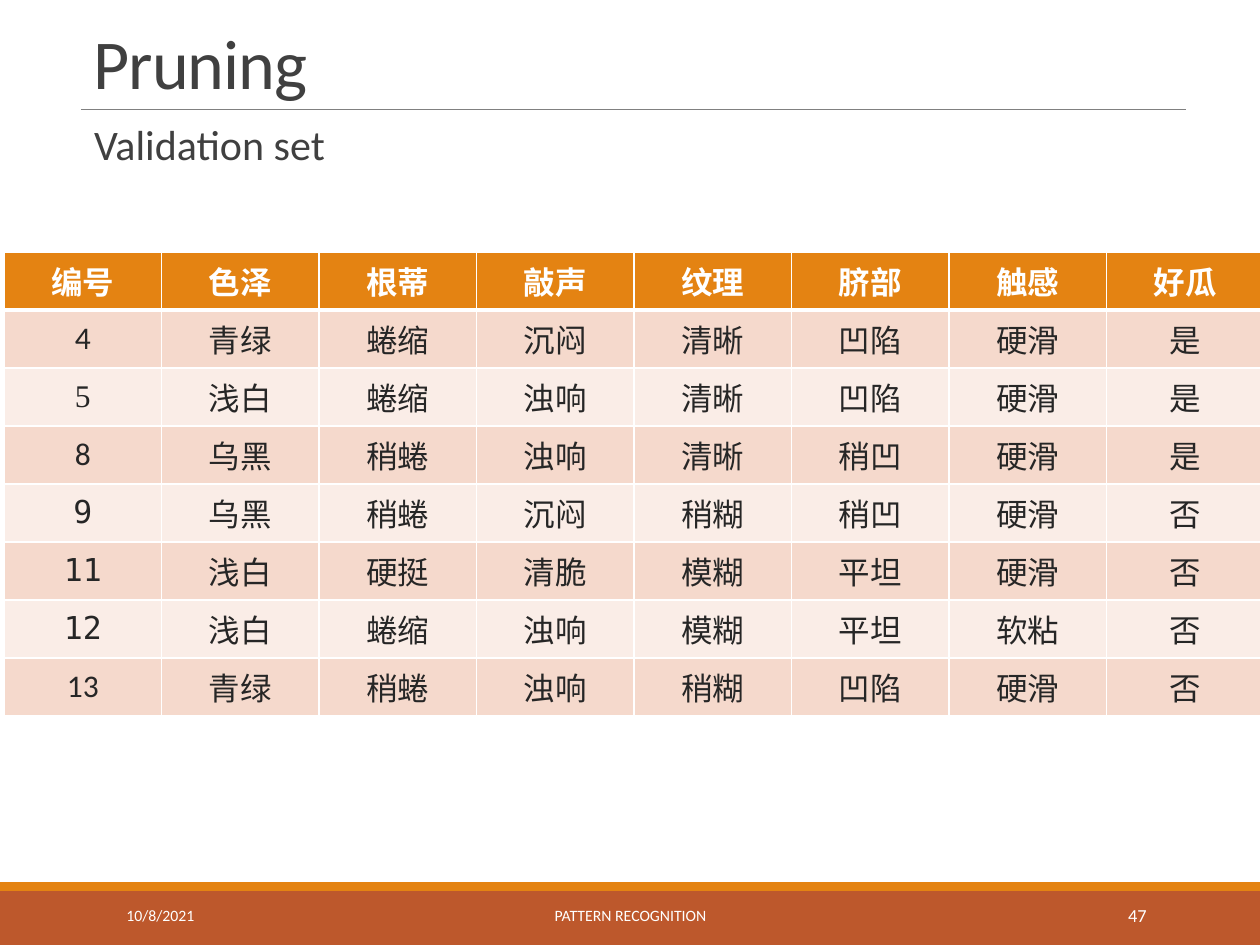
from lxml.etree import SubElement
from pptx import Presentation
from pptx.dml.color import RGBColor
from pptx.enum.shapes import MSO_CONNECTOR, MSO_SHAPE
from pptx.enum.text import MSO_ANCHOR, PP_ALIGN
from pptx.oxml.ns import qn
from pptx.util import Emu, Pt

WHITE = RGBColor(0xFF, 0xFF, 0xFF)
ORANGE = RGBColor(0xE4, 0x83, 0x12)
RUST = RGBColor(0xBD, 0x58, 0x2C)
GRAY = RGBColor(0x80, 0x80, 0x80)
HEADING = RGBColor(0x40, 0x40, 0x40)
CELL_TEXT = RGBColor(0x26, 0x26, 0x26)
BANDS = (RGBColor(0xF5, 0xD9, 0xCC), RGBColor(0xFA, 0xED, 0xE7))

FONTS = {"C": "Calibri", "T": "Times New Roman", "D": "DejaVu Sans Mono"}

# Each row: its cells, then one font letter per cell
ROWS = [
    ("编号 色泽 根蒂 敲声 纹理 脐部 触感 好瓜", "CCCCCCCC"),
    ("4 青绿 蜷缩 沉闷 清晰 凹陷 硬滑 是", "CCCTCCCC"),
    ("5 浅白 蜷缩 浊响 清晰 凹陷 硬滑 是", "TCCCCCCT"),
    ("8 乌黑 稍蜷 浊响 清晰 稍凹 硬滑 是", "CCCCCDCC"),
    ("9 乌黑 稍蜷 沉闷 稍糊 稍凹 硬滑 否", "DCCTCDCD"),
    ("11 浅白 硬挺 清脆 模糊 平坦 硬滑 否", "DCDTCDCD"),
    ("12 浅白 蜷缩 浊响 模糊 平坦 软粘 否", "DCDCCDCD"),
    ("13 青绿 稍蜷 浊响 稍糊 凹陷 硬滑 否", "CCCCCCCC"),
]
TABLE_LEFT, TABLE_TOP, TABLE_WIDTH, ROW_HEIGHT = 4, 252, 1260, 58

# Bars: top, height, colour
BARS = [(890, 55, RUST), (882, 9, ORANGE)]

# Footer: text, left, width, size, alignment
FOOTER_TOP, FOOTER_HEIGHT = 890, 50
FOOTERS = [
    ("10/8/2021", 114, 256, 9, PP_ALIGN.LEFT),
    ("PATTERN RECOGNITION", 381, 499, 9, PP_ALIGN.CENTER),
    ("47", 1023, 136, 10.5, PP_ALIGN.RIGHT),
]


def px(value):
    return Emu(round(value * 914400 / 126))


def add_run(paragraph, text, size, color, font="Calibri", bold=False):
    run = paragraph.add_run()
    run.text = text
    run.font.name = font
    run.font.size = Pt(size)
    run.font.bold = bold
    run.font.color.rgb = color
    return run


def add_text_box(slide, box, anchor):
    frame = slide.shapes.add_textbox(*map(px, box)).text_frame
    frame.word_wrap = True
    frame.vertical_anchor = anchor
    return frame


def set_borders(cell, widths):
    properties = cell._tc.get_or_add_tcPr()
    for side, width in widths.items():
        line = SubElement(properties, qn(f"a:ln{side}"), w=str(Pt(width)))
        fill = SubElement(line, qn("a:solidFill"))
        SubElement(fill, qn("a:srgbClr"), val=str(WHITE))


def add_table(slide):
    count = len(ROWS[0][1])
    table = slide.shapes.add_table(
        len(ROWS), count, px(TABLE_LEFT), px(TABLE_TOP),
        px(TABLE_WIDTH), px(ROW_HEIGHT * len(ROWS))).table
    for column in table.columns:
        column.width = px(TABLE_WIDTH / count)
    for r, (texts, fonts) in enumerate(ROWS):
        header = r == 0
        table.rows[r].height = px(ROW_HEIGHT)
        for c, (text, font) in enumerate(zip(texts.split(), fonts)):
            cell = table.cell(r, c)
            cell.vertical_anchor = MSO_ANCHOR.MIDDLE
            set_borders(cell, {"L": 1, "R": 1, "T": 3 if r == 1 else 1,
                               "B": 3 if header else 1})
            cell.fill.solid()
            cell.fill.fore_color.rgb = ORANGE if header else BANDS[(r - 1) % 2]
            paragraph = cell.text_frame.paragraphs[0]
            paragraph.alignment = PP_ALIGN.CENTER
            add_run(paragraph, text, 18, WHITE if header else CELL_TEXT,
                    FONTS[font], header)


def main():
    presentation = Presentation()
    presentation.slide_width, presentation.slide_height = px(1260), px(945)
    slide = presentation.slides.add_slide(presentation.slide_layouts[6])

    # Bottom bars
    for top, height, color in BARS:
        bar = slide.shapes.add_shape(
            MSO_SHAPE.RECTANGLE, 0, px(top), px(1260), px(height))
        bar.shadow.inherit = False
        bar.fill.solid()
        bar.fill.fore_color.rgb = color
        bar.line.fill.background()

    # Rule under the title
    rule = slide.shapes.add_connector(
        MSO_CONNECTOR.STRAIGHT, px(81), px(109), px(1186), px(109))
    rule.line.color.rgb = GRAY
    rule.line.width = Pt(0.5)
    SubElement(rule._element.spPr, qn("a:effectLst"))

    # Title
    title = add_text_box(slide, (81, 16, 1105, 94), MSO_ANCHOR.BOTTOM)
    paragraph = title.paragraphs[0]
    paragraph.line_spacing = 0.85
    run = add_run(paragraph, "Pruning", 40, HEADING)
    run.font._element.set("spc", "-50")

    # Body
    body = add_text_box(slide, (81, 118, 1105, 750), MSO_ANCHOR.TOP)
    body.margin_left, body.margin_right = px(13), 0
    paragraph = body.paragraphs[0]
    paragraph.line_spacing = 0.9
    paragraph.space_after = Pt(2)
    add_run(paragraph, "Validation set", 24, HEADING)

    # Footer
    for text, left, width, size, alignment in FOOTERS:
        frame = add_text_box(
            slide, (left, FOOTER_TOP, width, FOOTER_HEIGHT), MSO_ANCHOR.MIDDLE)
        frame.paragraphs[0].alignment = alignment
        add_run(frame.paragraphs[0], text, size, WHITE)

    add_table(slide)
    presentation.save("out.pptx")


if __name__ == "__main__":
    main()
